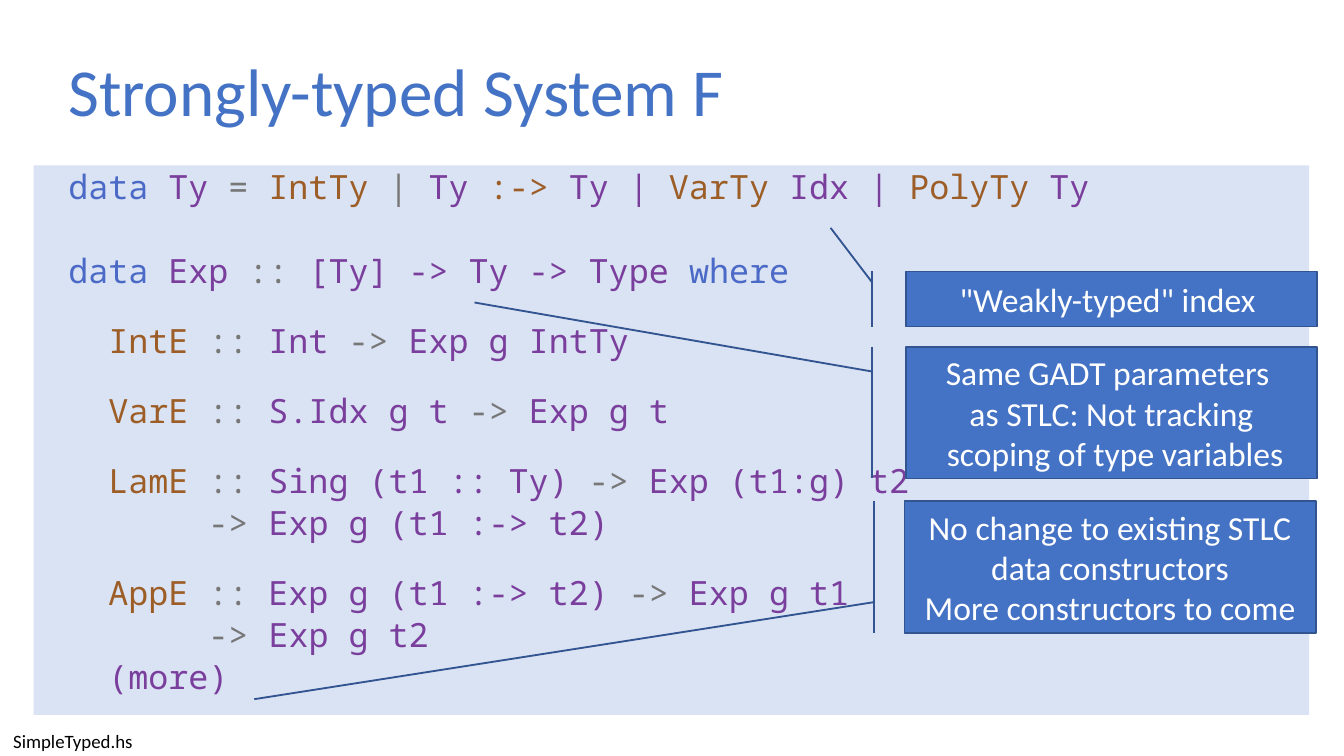
from pptx import Presentation
from pptx.dml.color import RGBColor
from pptx.enum.shapes import MSO_SHAPE as Shape
from pptx.enum.text import MSO_ANCHOR as Anchor, PP_ALIGN as Align
from pptx.util import Inches, Pt

BLUE = RGBColor(0x44, 0x72, 0xC4)
OUTLINE = RGBColor(0x32, 0x54, 0x91)
PANEL = RGBColor(0xDA, 0xE3, 0xF3)
WHITE = RGBColor(0xFF, 0xFF, 0xFF)
BLACK = RGBColor(0x00, 0x00, 0x00)
KEYWORD = RGBColor(0x4B, 0x69, 0xC6)
TYPE = RGBColor(0x7A, 0x3E, 0x9D)
SYMBOL = RGBColor(0x77, 0x77, 0x77)
CONSTRUCTOR = RGBColor(0x9C, 0x5D, 0x27)

SANS, MONO = "Calibri", "Noto Sans Mono"
TIGHT, SECTION, ENTRY = 7.5, 30, 22.5

CODE = [
    (0, [("data ", KEYWORD), ("Ty ", TYPE), ("= ", SYMBOL), ("IntTy ", CONSTRUCTOR),
         ("| ", SYMBOL), ("Ty ", TYPE), (":-> ", CONSTRUCTOR), ("Ty | ", TYPE),
         ("VarTy ", CONSTRUCTOR), ("Idx | ", TYPE), ("PolyTy ", CONSTRUCTOR), ("Ty", TYPE)]),
    (SECTION, [("data ", KEYWORD), ("Exp ", TYPE), (":: ", SYMBOL),
               ("[Ty] -> Ty -> Type ", TYPE), ("where", KEYWORD)]),
    (ENTRY, [("  IntE ", CONSTRUCTOR), (":: ", SYMBOL), ("Int ", TYPE),
             ("-> ", SYMBOL), ("Exp g IntTy", TYPE)]),
    (ENTRY, [("  VarE ", CONSTRUCTOR), (":: ", SYMBOL), ("S.Idx g t ", TYPE),
             ("-> ", SYMBOL), ("Exp g t", TYPE)]),
    (ENTRY, [("  LamE ", CONSTRUCTOR), (":: ", SYMBOL), ("Sing (t1 :: Ty) ", TYPE),
             ("-> ", SYMBOL), ("Exp (t1:g) t2", TYPE)]),
    (TIGHT, [("       -> ", SYMBOL), ("Exp g (t1 :-> t2)", TYPE)]),
    (ENTRY, [("  AppE ", CONSTRUCTOR), (":: ", SYMBOL), ("Exp g (t1 :-> t2) ", TYPE),
             ("-> ", SYMBOL), ("Exp g t1", TYPE)]),
    (TIGHT, [("       -> ", SYMBOL), ("Exp g t2", TYPE)]),
    (TIGHT, [("  (more)", TYPE)]),
]

CALLOUTS = [
    ((6.74, 2.02, 3.06, 0.41), (0.188, -0.083, -0.793, -0.183),
     ['"Weakly-typed" index ']),
    ((6.74, 2.58, 3.06, 0.98), (0.188, -0.083, -0.336, -1.049),
     ["Same GADT parameters \nas STLC: Not tracking\n scoping of type variables"]),
    ((6.73, 3.73, 3.06, 0.98), (0.766, -0.074, 1.503, -1.581),
     ["No change to existing STLC data constructors", "More constructors to come"]),
]


def set_format(target, values):
    """Set each attribute of the target from a dict of format values."""
    for name, value in values.items():
        setattr(target, name, value)


def add_text(paragraph, text, font, size, color):
    """Append styled text to a paragraph, with a line break at each newline."""
    for number, piece in enumerate(text.split("\n")):
        if number:
            paragraph.add_line_break()
        run = paragraph.add_run()
        run.text = piece
        set_format(run.font, {"name": font, "size": Pt(size)})
        run.font.color.rgb = color


def add_panel(slide, box, kind, fill):
    """Add a filled preset shape without shadow or outline."""
    panel = slide.shapes.add_shape(kind, *map(Inches, box))
    panel.shadow.inherit = False
    panel.fill.solid()
    panel.fill.fore_color.rgb = fill
    panel.line.fill.background()
    return panel


def add_label(slide, box, text, size, color, frame_format):
    """Add a single-paragraph text box and return its paragraph."""
    frame = slide.shapes.add_textbox(*map(Inches, box)).text_frame
    set_format(frame, frame_format)
    paragraph = frame.paragraphs[0]
    add_text(paragraph, text, SANS, size, color)
    return paragraph


def add_code(slide, box):
    """Add the highlighted code."""
    frame = slide.shapes.add_textbox(*map(Inches, box)).text_frame
    frame.word_wrap = True
    for number, (gap, tokens) in enumerate(CODE):
        line = frame.add_paragraph() if number else frame.paragraphs[0]
        set_format(line, {"line_spacing": Pt(15), "space_before": Pt(gap)})
        for text, color in tokens:
            add_text(line, text, MONO, 17.9, color)


def add_callout(slide, box, pointer, paragraphs):
    """Add a callout whose pointer is given relative to its box."""
    callout = add_panel(slide, box, Shape.LINE_CALLOUT_1_BORDER_AND_ACCENT_BAR, BLUE)
    callout.line.color.rgb = OUTLINE
    callout.line.width = Pt(1)
    for index, value in enumerate(pointer):
        callout.adjustments[index] = value
    frame = callout.text_frame
    set_format(frame, {"word_wrap": True, "vertical_anchor": Anchor.MIDDLE})
    for number, text in enumerate(paragraphs):
        paragraph = frame.add_paragraph() if number else frame.paragraphs[0]
        paragraph.alignment = Align.CENTER
        add_text(paragraph, text, SANS, 18, WHITE)


def main():
    """Build the slide and save it."""
    deck = Presentation()
    width = Inches(10)
    set_format(deck, {"slide_width": width, "slide_height": width * 9 // 16})
    slide = deck.slides.add_slide(deck.slide_layouts[6])
    add_panel(slide, (0.25, 1.23, 9.49, 4.09), Shape.RECTANGLE, PANEL)
    title = add_label(slide, (0.41, 0.26, 8.62, 0.89), "Strongly-typed System F", 36, BLUE,
                      {"word_wrap": True, "vertical_anchor": Anchor.MIDDLE})
    title.line_spacing = 0.9
    add_code(slide, (0.41, 1.28, 9.36, 3.79))
    add_label(slide, (0, 5.38, 1.11, 0.27), "SimpleTyped.hs", 10.1, BLACK,
              {"word_wrap": False})
    for box, pointer, paragraphs in CALLOUTS:
        add_callout(slide, box, pointer, paragraphs)
    deck.save("out.pptx")


if __name__ == "__main__":
    main()
